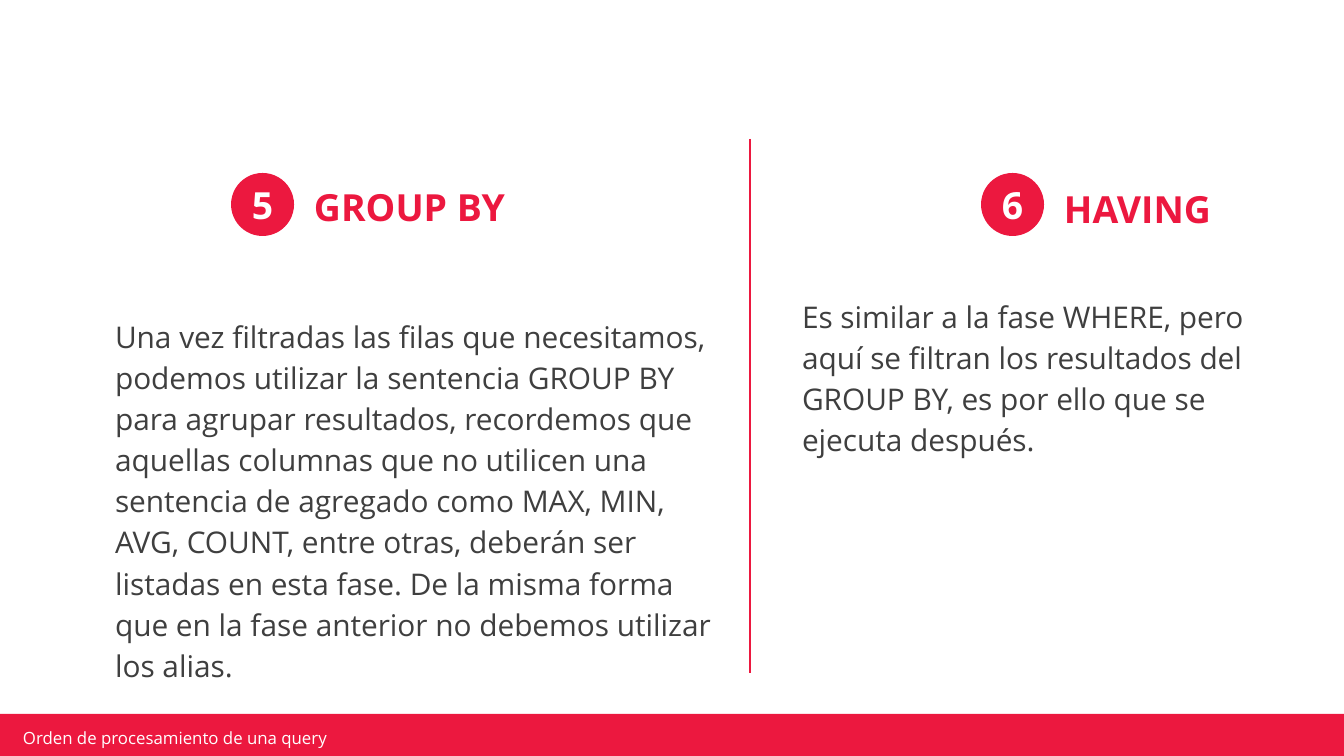
import pptx
import pptx.dml.color
import pptx.enum.shapes
import pptx.enum.text
import pptx.oxml
import pptx.oxml.ns
import pptx.util

RED = pptx.dml.color.RGBColor(0xEC, 0x18, 0x3F)
GRAY = pptx.dml.color.RGBColor(0x3F, 0x3F, 0x3F)
WHITE = pptx.dml.color.RGBColor(0xFF, 0xFF, 0xFF)
FONT = "Open Sans"
WIDE, HIGH = 1344, 756
SCALE = 9144000 / WIDE
SHAPE = pptx.enum.shapes.MSO_SHAPE
ALIGN = pptx.enum.text.PP_ALIGN
ANCHOR = pptx.enum.text.MSO_ANCHOR


def emu(*sizes):
    return [pptx.util.Emu(round(size * SCALE)) for size in sizes]


def write(frame, text, size=16, color=GRAY, bold=False, align=ALIGN.LEFT,
          anchor=ANCHOR.TOP, inset=13, spacing=1.0):
    frame.word_wrap = True
    frame.vertical_anchor = anchor
    pad, = emu(inset)
    frame.margin_left = frame.margin_right = pad
    frame.margin_top = frame.margin_bottom = pad
    para = frame.paragraphs[0]
    para.alignment = align
    para.line_spacing = spacing
    run = para.add_run()
    run.text = text
    run.font.name = FONT
    run.font.size = pptx.util.Pt(size)
    run.font.bold = bold
    run.font.color.rgb = color


class Deck:
    """Holds the style and the current slide, and draws each kind of element."""

    def __init__(self):
        self.file = pptx.Presentation()
        self.file.slide_width, self.file.slide_height = emu(WIDE, HIGH)
        self.slide = self.file.slides.add_slide(self.file.slide_layouts[6])

    def shape(self, kind, box, fill=RED):
        item = self.slide.shapes.add_shape(kind, *emu(*box))
        item.shadow.inherit = False
        item.fill.solid()
        item.fill.fore_color.rgb = fill
        item.line.fill.background()
        return item

    def text(self, text, box, **style):
        item = self.slide.shapes.add_textbox(*emu(*box))
        write(item.text_frame, text, **style)

    def line(self, start, end, color=RED, width=1.5):
        kind = pptx.enum.shapes.MSO_CONNECTOR.STRAIGHT
        item = self.slide.shapes.add_connector(kind, *emu(*start, *end))
        item.line.color.rgb = color
        item.line.width = pptx.util.Pt(width)
        props = item._element.spPr
        props.append(pptx.oxml.parse_xml(
            "<a:effectLst %s/>" % pptx.oxml.ns.nsdecls("a")))

    def badge(self, text, left, top, size=63):
        item = self.shape(SHAPE.OVAL, (left, top, size, size))
        write(item.text_frame, text, size=20, color=WHITE, bold=True,
              align=ALIGN.CENTER, anchor=ANCHOR.MIDDLE, inset=0)

    def phase(self, number, name, text, left, head, body):
        self.text(text, body, spacing=1.15)
        self.text(name, head, size=20, color=RED, bold=True)
        self.badge(number, left, 173)


def main():
    deck = Deck()
    deck.shape(SHAPE.RECTANGLE, (-3, 714, 1348, 48))
    deck.text("Orden de procesamiento de una query", (16, 728, 330, 20),
              size=9, color=WHITE, anchor=ANCHOR.MIDDLE, inset=7)
    deck.phase(
        "5", "GROUP BY",
        "Una vez filtradas las filas que necesitamos, podemos utilizar la "
        "sentencia GROUP BY para agrupar resultados, recordemos que aquellas "
        "columnas que no utilicen una sentencia de agregado como MAX, MIN, "
        "AVG, COUNT, entre otras, deberán ser listadas en esta fase. De la "
        "misma forma que en la fase anterior no debemos utilizar los alias.",
        231, (301, 171, 305, 103), (102, 300, 624, 396))
    deck.phase(
        "6", "HAVING",
        "Es similar a la fase WHERE, pero aquí se filtran los resultados del "
        "GROUP BY, es por ello que se ejecuta después.",
        981, (1051, 173, 265, 73), (789, 280, 495, 374))
    deck.line((750, 139), (750, 673))
    deck.file.save("out.pptx")


if __name__ == "__main__":
    main()
